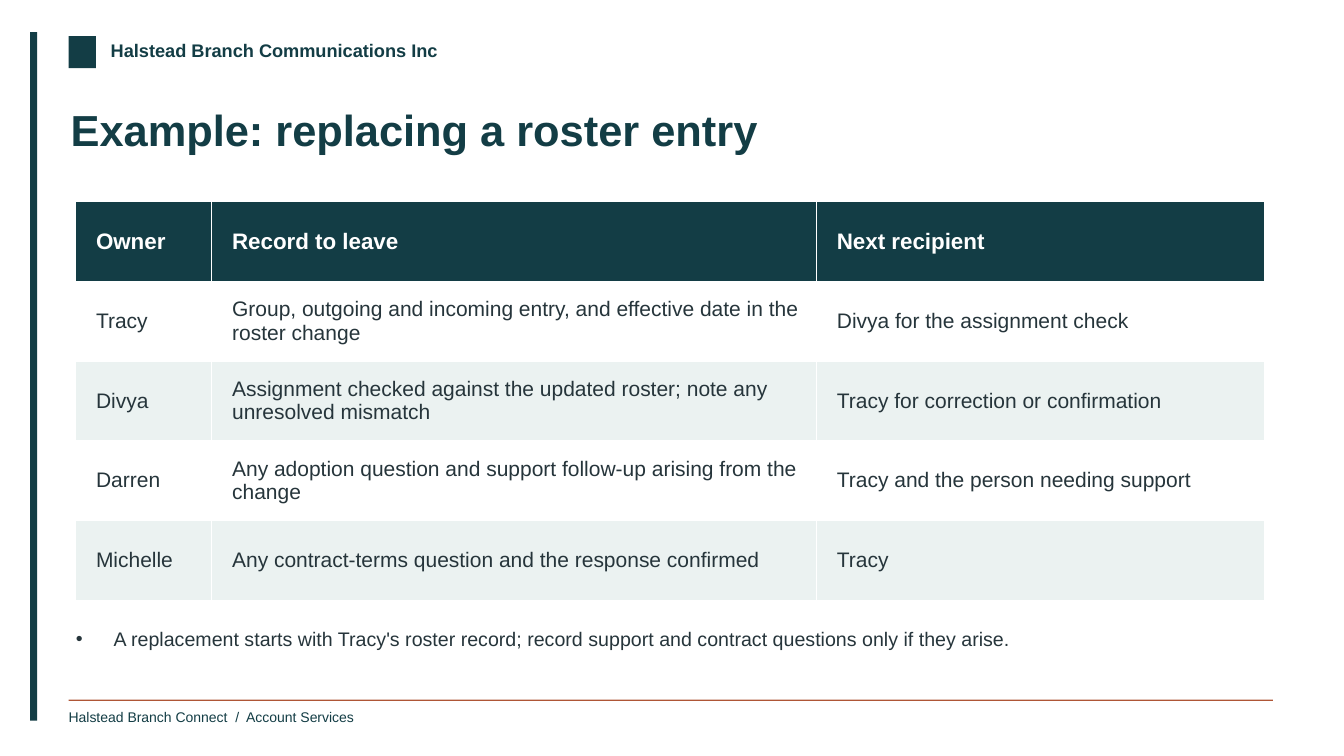
from dataclasses import dataclass

from lxml import etree
from pptx import Presentation
from pptx import util as u
from pptx.dml import color
from pptx.enum import shapes, text
from pptx.oxml import ns


@dataclass(frozen=True)
class Theme:
    face: str = "Arial"
    teal: str = "133D45"
    rust: str = "AF5636"
    ink: str = "26353B"
    pale: str = "EBF2F1"
    white: str = "FFFFFF"
    title: int = 31
    head: int = 16
    cell: int = 15
    note: int = 14
    firm: int = 13
    foot: int = 10


THEME = Theme()
ROWS = [
    ("Owner", "Record to leave", "Next recipient"),
    ("Tracy", "Group, outgoing and incoming entry, and effective date in the roster change",
     "Divya for the assignment check"),
    ("Divya", "Assignment checked against the updated roster; note any unresolved mismatch",
     "Tracy for correction or confirmation"),
    ("Darren", "Any adoption question and support follow-up arising from the change",
     "Tracy and the person needing support"),
    ("Michelle", "Any contract-terms question and the response confirmed", "Tracy"),
]


def rgb(code):
    return color.RGBColor.from_string(code)


def apply(item, form):
    for name, value in form.items():
        setattr(item, name, value)


def place(item, box):
    apply(item, dict(zip(("left", "top", "width", "height"), map(u.Cm, box))))


def write(frame, words, size, tint, bold=False):
    frame.text = words
    para = frame.paragraphs[0]
    para.alignment = text.PP_ALIGN.LEFT
    apply(para.font, {"name": THEME.face, "size": u.Pt(size), "bold": bold})
    para.font.color.rgb = rgb(tint)


def trim(frame, wrap=True):
    apply(frame, {"margin_left": 0, "margin_top": 0, "margin_right": 0,
                  "margin_bottom": 0, "word_wrap": wrap,
                  "auto_size": text.MSO_AUTO_SIZE.NONE,
                  "vertical_anchor": text.MSO_ANCHOR.TOP})


def block(slide, box, tint):
    form = slide.shapes.add_shape(shapes.MSO_SHAPE.RECTANGLE, *map(u.Cm, box))
    form.shadow.inherit = False
    form.fill.solid()
    form.fill.fore_color.rgb = rgb(tint)
    form.line.fill.background()


def label(slide, box, words, size, bold=False):
    frame = slide.shapes.add_textbox(*map(u.Cm, box)).text_frame
    trim(frame, wrap=False)
    write(frame, words, size, THEME.teal, bold)


def holder(item, box, words, size, tint, bold=False):
    place(item, box)
    trim(item.text_frame)
    write(item.text_frame, words, size, tint, bold)


def plain(para):
    """Switch off the list bullet and its indent."""
    props = para._p.get_or_add_pPr()
    props.set("marL", "0")
    props.set("indent", "0")
    etree.SubElement(props, ns.qn("a:buNone"))
    para.space_before = u.Pt(0)


def grid(slide, left, top, widths, tall):
    frame = slide.shapes.add_table(
        len(ROWS), len(widths), u.Cm(left), u.Cm(top),
        u.Cm(sum(widths)), u.Cm(tall * len(ROWS)))
    table = frame.table
    table.horz_banding = False
    for col, width in zip(table.columns, widths):
        col.width = u.Cm(width)
    for i, row in enumerate(ROWS):
        table.rows[i].height = u.Cm(tall)
        head = i == 0
        fill = THEME.teal if head else (THEME.pale, THEME.white)[i % 2]
        look = (THEME.head, THEME.white, True) if head else (THEME.cell, THEME.ink)
        for j, words in enumerate(row):
            cell = table.cell(i, j)
            apply(cell, {"margin_left": u.Cm(0.51), "margin_right": u.Cm(0.25),
                         "margin_top": u.Cm(0.13), "margin_bottom": u.Cm(0.13),
                         "vertical_anchor": text.MSO_ANCHOR.MIDDLE})
            cell.fill.solid()
            cell.fill.fore_color.rgb = rgb(fill)
            write(cell.text_frame, words, *look)


def main():
    deck = Presentation()
    apply(deck, {"slide_width": u.Cm(33.87), "slide_height": u.Cm(19.05)})
    slide = deck.slides.add_slide(deck.slide_layouts[1])
    title, note = slide.placeholders

    # Side bar, brand mark and firm name
    block(slide, (0.76, 0.81, 0.18, 17.35), THEME.teal)
    block(slide, (1.73, 0.91, 0.69, 0.81), THEME.teal)
    label(slide, (2.79, 0.99, 9.02, 0.69), "Halstead Branch Communications Inc",
          THEME.firm, True)

    # Footer
    block(slide, (1.73, 17.63, 30.35, 0.03), THEME.rust)
    label(slide, (1.73, 17.86, 6.6, 0.58),
          "Halstead Branch Connect  /  Account Services", THEME.foot)

    # Title, table and closing note
    holder(title, (1.78, 2.59, 30.23, 2.18), "Example: replacing a roster entry",
           THEME.title, THEME.teal, True)
    grid(slide, 1.91, 5.08, (3.43, 15.24, 11.3), 2.01)
    plain(note.text_frame.paragraphs[0])
    holder(note, (1.91, 15.8, 30.02, 1.12),
           "A replacement starts with Tracy's roster record; "
           "record support and contract questions only if they arise.",
           THEME.note, THEME.ink)

    deck.save("out.pptx")


if __name__ == "__main__":
    main()
